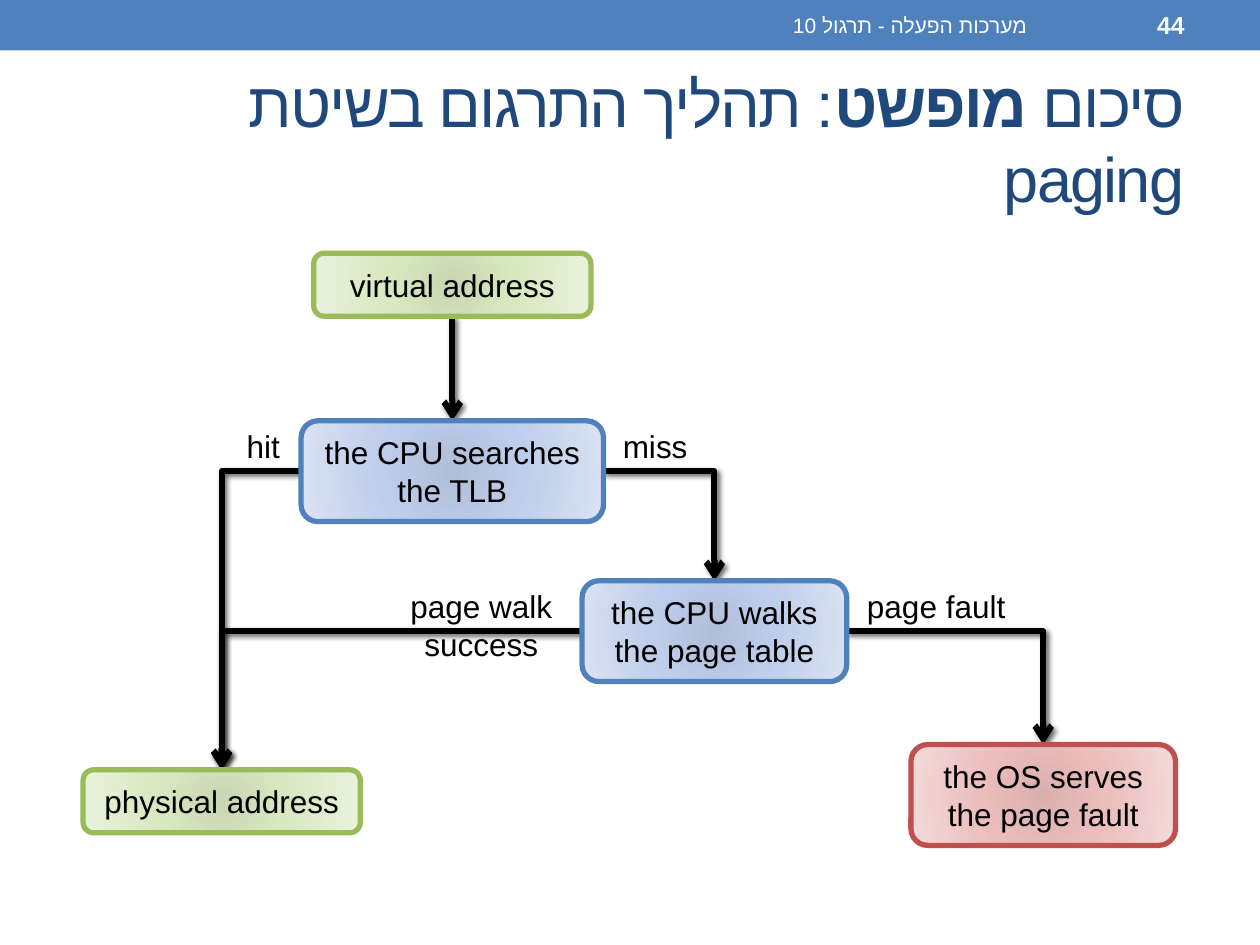
from dataclasses import dataclass
from typing import NamedTuple

from lxml.etree import SubElement
from pptx import Presentation
from pptx.dml.color import RGBColor
from pptx.enum.shapes import MSO_CONNECTOR as Route, MSO_SHAPE as Preset
from pptx.enum.text import MSO_ANCHOR as Anchor, MSO_AUTO_SIZE as Fit, PP_ALIGN as Align
from pptx.oxml.ns import qn
from pptx.util import Inches, Pt

COLUMNS = 100
TOP, LEFT, RIGHT = 0, 1, 3
BOTTOM = 2


class Palette(NamedTuple):
    border: str
    core: str
    middle: str
    edge: str


@dataclass(frozen=True)
class Theme:
    font: str = "Arial"
    ink: str = "000000"
    paper: str = "FFFFFF"
    band: str = "4F81BD"
    heading: str = "1F497D"
    address: Palette = Palette("9BBB59", "C8D7B2", "D8E8C0", "E9F3DC")
    processor: Palette = Palette("4F81BD", "B0BED9", "BECDEA", "DBE3F3")
    system: Palette = Palette("C0504D", "DAB0AF", "EBBEBD", "F4DBDB")
    title_size: float = 36
    body_size: float = 18
    number_size: float = 14
    course_size: float = 12
    border_width: float = 3
    arrow_width: float = 3.5


class Area(NamedTuple):
    column: float
    row: float
    columns: float
    rows: float


class Span(NamedTuple):
    text: str
    bold: bool = False


class Step(NamedTuple):
    text: str
    center: float
    row: float
    columns: float
    rows: float
    palette: Palette
    rtl: bool = False


class Label(NamedTuple):
    lines: tuple
    area: Area


class Flow(NamedTuple):
    source: str
    side: int
    target: str
    route: Route = Route.ELBOW


THEME = Theme()

STEPS = {
    "searches": Step("the CPU searches the TLB", 35.9, 33.4, 24, 8, THEME.processor),
    "walks": Step("the CPU walks the page table", 56.7, 46.1, 21, 8, THEME.processor),
    "physical": Step("physical address", 17.6, 61.1, 22, 5, THEME.address, True),
    "virtual": Step("virtual address", 35.9, 20.1, 22, 5, THEME.address, True),
    "fault": Step("the OS serves the page fault", 82.8, 59.1, 21, 8, THEME.system),
}

FLOWS = [
    Flow("searches", LEFT, "physical"),
    Flow("searches", RIGHT, "walks"),
    Flow("walks", LEFT, "physical"),
    Flow("walks", RIGHT, "fault"),
    Flow("virtual", BOTTOM, "searches", Route.STRAIGHT),
]

LABELS = [
    Label(("hit",), Area(17.9, 33.4, 6, 4)),
    Label(("miss",), Area(48, 33.4, 8, 4)),
    Label(("page walk", "success"), Area(30.7, 46.1, 15, 7.1)),
    Label(("page fault",), Area(67.3, 46.1, 14, 4)),
]


def grid(*cells: float) -> list:
    return [Inches(cell * 10 / COLUMNS) for cell in cells]


def rgb(color: str) -> RGBColor:
    return RGBColor.from_string(color)


def write(shape, *lines, size=THEME.body_size, color=THEME.ink, align=Align.CENTER,
          anchor=Anchor.MIDDLE, fit=Fit.NONE, rtl=True, spacing=0) -> None:
    frame = shape.text_frame
    frame.word_wrap, frame.auto_size, frame.vertical_anchor = True, fit, anchor
    for index, line in enumerate(lines):
        paragraph = frame.add_paragraph() if index else frame.paragraphs[0]
        paragraph.alignment = align
        paragraph._p.get_or_add_pPr().set("rtl", str(int(rtl)))
        for span in [Span(line)] if isinstance(line, str) else line:
            run = paragraph.add_run()
            run.text = span.text
            font = run.font
            font.size, font.bold, font.name = Pt(size), span.bold, THEME.font
            font.color.rgb = rgb(color)
            properties = run._r.get_or_add_rPr()
            properties.set("spc", str(spacing))
            SubElement(properties, qn("a:cs"), typeface=THEME.font)


def draw_text(shapes, area: Area, *lines, **style) -> None:
    write(shapes.add_textbox(*grid(*area)), *lines, **style)


def fill_radial(shape, palette: Palette) -> None:
    shape.fill.gradient()
    gradient = shape._element.spPr.find(qn("a:gradFill"))
    for child in list(gradient):
        gradient.remove(child)
    stops = SubElement(gradient, qn("a:gsLst"))
    for share, color in zip((0, 45, 100), palette[1:]):
        stop = SubElement(stops, qn("a:gs"), pos=str(share * 1000))
        SubElement(stop, qn("a:srgbClr"), val=color)
    circle = SubElement(gradient, qn("a:path"), path="circle")
    SubElement(circle, qn("a:fillToRect"), dict.fromkeys("ltrb", "100000"))


def draw_step(shapes, step: Step):
    area = Area(step.center - step.columns / 2, step.row, step.columns, step.rows)
    box = shapes.add_shape(Preset.ROUNDED_RECTANGLE, *grid(*area))
    box.shadow.inherit = False
    fill_radial(box, step.palette)
    box.line.color.rgb = rgb(step.palette.border)
    box.line.width = Pt(THEME.border_width)
    write(box, step.text, rtl=step.rtl)
    return box


def draw_flow(shapes, flow: Flow, boxes: dict):
    arrow = shapes.add_connector(flow.route, 0, 0, 0, 0)
    arrow.begin_connect(boxes[flow.source], flow.side)
    arrow.end_connect(boxes[flow.target], TOP)
    arrow.line.color.rgb = rgb(THEME.ink)
    arrow.line.width = Pt(THEME.arrow_width)
    properties = arrow._element.spPr
    if flow.route == Route.ELBOW:
        properties.find(qn("a:prstGeom")).set("prst", "bentConnector2")
    SubElement(properties.find(qn("a:ln")), qn("a:tailEnd"), type="arrow")
    effects = SubElement(properties, qn("a:effectLst"))
    shadow = SubElement(effects, qn("a:outerShdw"), blurRad=str(Pt(3)), dist=str(Pt(2)),
                        dir="2700000", algn="tl", rotWithShape="0")
    tint = SubElement(shadow, qn("a:srgbClr"), val=THEME.ink)
    SubElement(tint, qn("a:alpha"), val="60000")
    return arrow


def main() -> None:
    deck = Presentation()
    deck.slide_width, deck.slide_height = grid(COLUMNS, 75)
    slide = deck.slides.add_slide(deck.slide_layouts[5])
    shapes = slide.shapes

    heading = shapes.title
    heading.left, heading.top, heading.width, heading.height = grid(5, 5.7, 90, 10.8)
    write(heading, (Span("סיכום "), Span("מופשט", True), Span(": תהליך התרגום בשיטת paging")),
          size=THEME.title_size, color=THEME.heading, align=Align.RIGHT, spacing=-100)

    band = shapes.add_shape(Preset.RECTANGLE, *grid(0, 0, COLUMNS, 4))
    band.shadow.inherit = False
    band.fill.solid()
    band.fill.fore_color.rgb = rgb(THEME.band)
    band.line.fill.background()
    draw_text(shapes, Area(83.3, 0.2, 11.7, 3.6), (Span("44", True),),
              size=THEME.number_size, color=THEME.paper, align=Align.RIGHT)
    draw_text(shapes, Area(37.5, 0.2, 45, 3.6), "מערכות הפעלה - תרגול 10",
              size=THEME.course_size, color=THEME.paper, align=Align.RIGHT)

    boxes = {key: draw_step(shapes, step) for key, step in STEPS.items()}
    for flow in FLOWS:
        arrow = draw_flow(shapes, flow, boxes)
        boxes["searches"]._element.addprevious(arrow._element)
    for label in LABELS:
        draw_text(shapes, label.area, *label.lines, anchor=Anchor.TOP, fit=Fit.SHAPE_TO_FIT_TEXT)

    deck.save("out.pptx")


if __name__ == "__main__":
    main()
